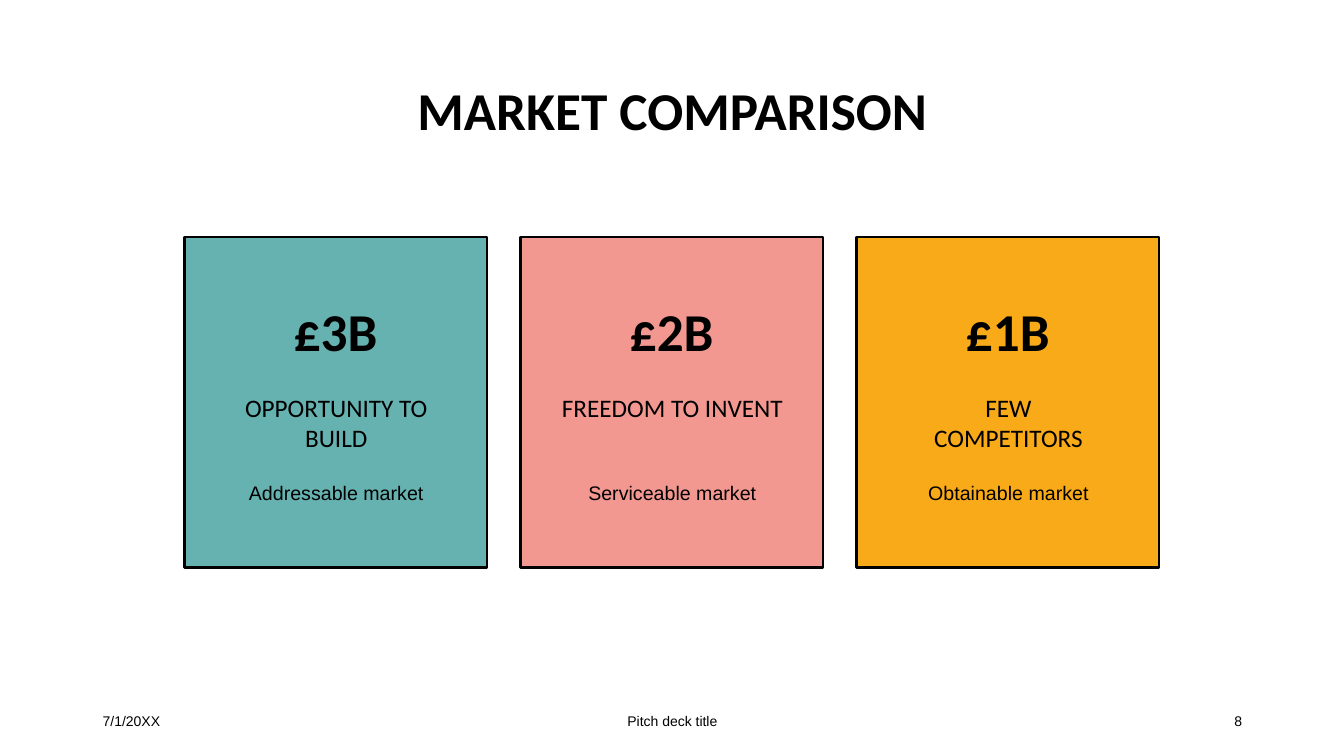
"""Builds the market comparison slide with three market size cards."""
from pptx import Presentation
from pptx.dml.color import RGBColor
from pptx.enum.shapes import MSO_SHAPE
from pptx.enum.text import MSO_ANCHOR, PP_ALIGN
from pptx.util import Cm, Pt

BLACK = RGBColor(0x00, 0x00, 0x00)
TEAL = RGBColor(0x66, 0xB2, 0xB0)
PINK = RGBColor(0xF3, 0x98, 0x91)
AMBER = RGBColor(0xF9, 0xAA, 0x19)

CARDS = [
    (TEAL, "£3B", "OPPORTUNITY TO BUILD", "Addressable market"),
    (PINK, "£2B", "FREEDOM TO INVENT", "Serviceable market"),
    (AMBER, "£1B", "FEW\nCOMPETITORS", "Obtainable market"),
]
FOOTER = [
    (2.34, 7.62, "7/1/20XX", PP_ALIGN.LEFT),
    (11.23, 11.43, "Pitch deck title", PP_ALIGN.CENTER),
    (23.93, 7.62, "8", PP_ALIGN.RIGHT),
]


def write(frame, text, size, face, bold=False, align=PP_ALIGN.CENTER,
          space=1.0, anchor=MSO_ANCHOR.TOP):
    frame.text = text
    frame.word_wrap = True
    frame.vertical_anchor = anchor
    for line in frame.paragraphs:
        line.alignment = align
        line.line_spacing = space
        line.font.size = Pt(size)
        line.font.name = face
        line.font.bold = bold
        line.font.color.rgb = BLACK


def add_title(slide, text):
    title = slide.shapes.title
    title.left, title.top = Cm(2.34), Cm(1.02)
    title.width, title.height = Cm(29.21), Cm(3.68)
    write(title.text_frame, text, 38, "Calibri", bold=True, space=0.9,
          anchor=MSO_ANCHOR.MIDDLE)


def add_label(slide, left, top, width, height, text, size, face, **style):
    box = slide.shapes.add_textbox(Cm(left), Cm(top), Cm(width), Cm(height))
    write(box.text_frame, text, size, face, **style)


def add_card(slide, left, fill, value, head, market):
    card = slide.shapes.add_shape(MSO_SHAPE.RECTANGLE, Cm(left), Cm(5.97),
                                  Cm(7.62), Cm(8.33))
    card.shadow.inherit = False
    card.fill.solid()
    card.fill.fore_color.rgb = fill
    card.line.color.rgb = BLACK
    card.line.width = Pt(1.75)
    card.text_frame.margin_top = Cm(1.73)
    write(card.text_frame, value, 38, "Calibri", bold=True, space=0.9)
    inner = left + 0.65
    add_label(slide, inner, 9.75, 6.35, 2.03, head, 18, "Calibri")
    add_label(slide, inner, 11.89, 6.35, 1.78, market, 14, "Arial",
              space=Pt(20))


def main():
    deck = Presentation()
    deck.slide_width, deck.slide_height = Cm(33.87), Cm(19.05)
    slide = deck.slides.add_slide(deck.slide_layouts[5])
    add_title(slide, "MARKET COMPARISON")
    for index, card in enumerate(CARDS):
        add_card(slide, 4.65 + 8.47 * index, *card)
    for left, width, text, align in FOOTER:
        add_label(slide, left, 17.65, width, 1.02, text, 10, "Arial",
                  align=align, anchor=MSO_ANCHOR.MIDDLE)
    deck.save("out.pptx")


if __name__ == "__main__":
    main()
